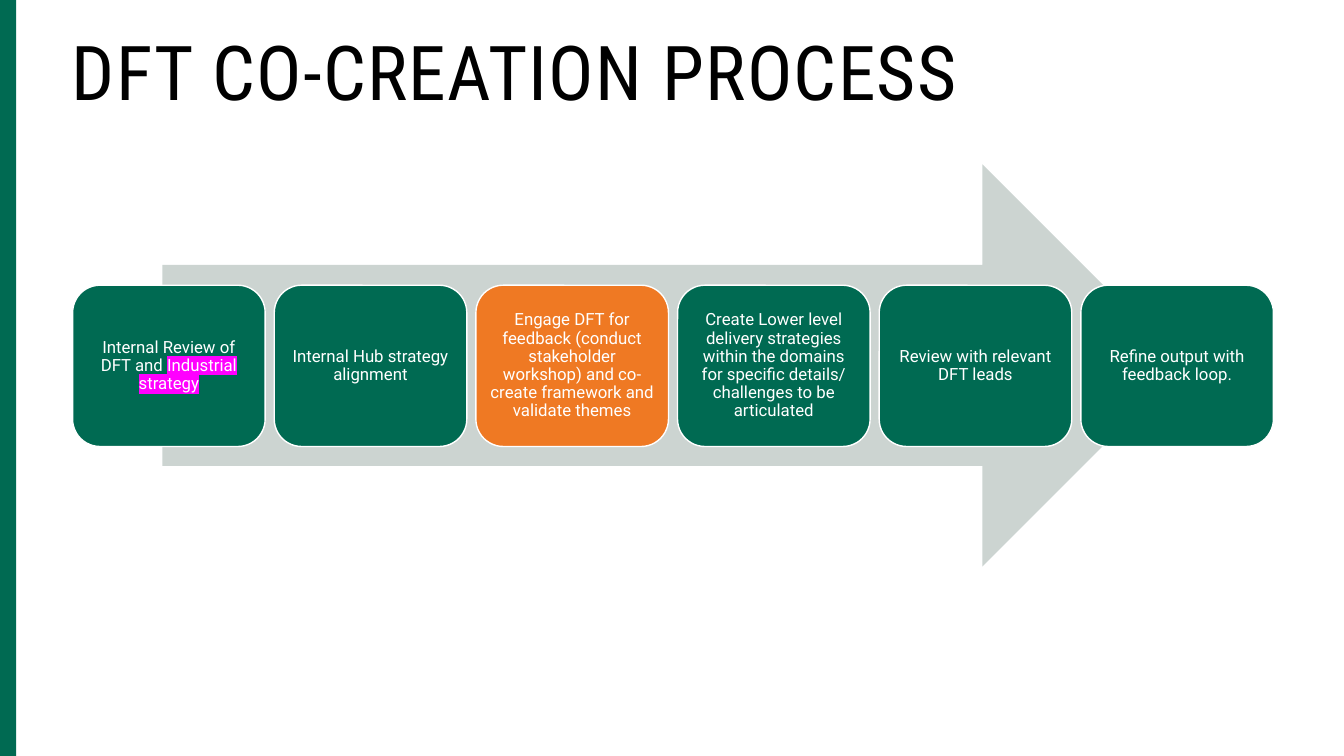
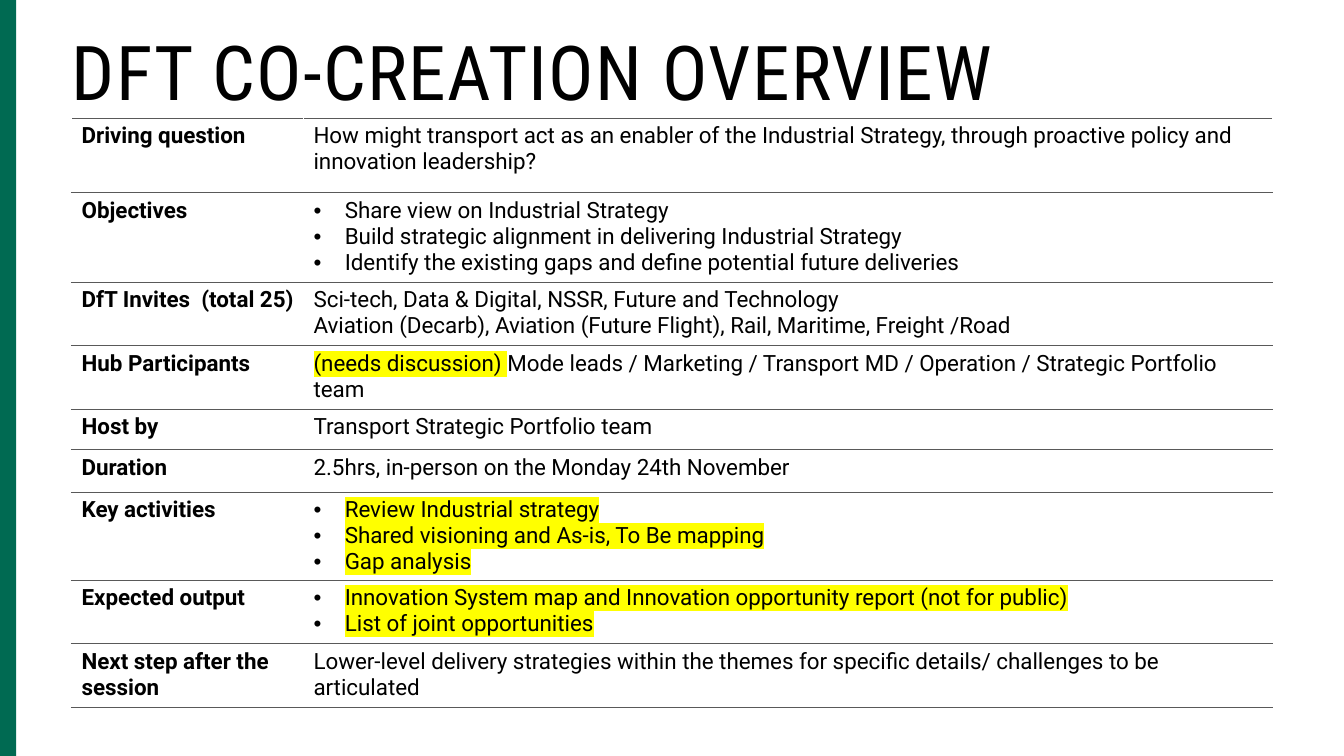
"""Build two slides on the DFT co-creation process and workshop."""
import pptx
import pptx.dml.color
import pptx.enum.shapes
import pptx.enum.text
import pptx.oxml.ns
import pptx.util
from lxml import etree

Inches = pptx.util.Inches
Pt = pptx.util.Pt
qn = pptx.oxml.ns.qn
Shape = pptx.enum.shapes.MSO_SHAPE
Align = pptx.enum.text.PP_ALIGN
Anchor = pptx.enum.text.MSO_ANCHOR

COLORS = {
    "green": "006A52",
    "orange": "EF7923",
    "arrow": "CCD4D1",
    "rule": "595959",
    "black": "000000",
    "white": "FFFFFF",
    "yellow": "FFFF00",
    "magenta": "FF00FF",
}

STEPS = [
    ([("Internal Review of DFT and ", None), ("Industrial strategy", "magenta")], "green"),
    ([("Internal Hub strategy alignment", None)], "green"),
    ([("Engage DFT for feedback (conduct stakeholder workshop) and co-create "
       "framework and validate themes", None)], "orange"),
    ([("Create Lower level delivery strategies within the domains for specific "
       "details/ challenges to be articulated", None)], "green"),
    ([("Review with relevant DFT leads", None)], "green"),
    ([("Refine output with feedback loop.", None)], "green"),
]

OVERVIEW = [
    ("Driving question", 0.74, False, [
        [("How might transport act as an enabler of the Industrial Strategy, through "
          "proactive policy and innovation leadership?", None)]]),
    ("Objectives", 0.89, True, [
        [("Share view on Industrial Strategy", None)],
        [("Build strategic alignment in delivering Industrial Strategy", None)],
        [("Identify the existing gaps and define potential future deliveries", None)]]),
    ("DfT Invites  (total 25)", 0.63, False, [
        [("Sci-tech, Data & Digital, NSSR, Future and Technology", None)],
        [("Aviation (Decarb), Aviation (Future Flight), Rail, Maritime, Freight /Road", None)]]),
    ("Hub Participants", 0.63, False, [
        [("(needs discussion) ", "yellow"),
         ("Mode leads / Marketing / Transport MD / Operation / Strategic Portfolio team", None)]]),
    ("Host by", 0.4, False, [[("Transport Strategic Portfolio team", None)]]),
    ("Duration", 0.42, False, [[("2.5hrs, in-person on the Monday 24th November", None)]]),
    ("Key activities", 0.6, True, [
        [("Review Industrial strategy", "yellow")],
        [("Shared visioning and As-is, To Be mapping", "yellow")],
        [("Gap analysis", "yellow")]]),
    ("Expected output", 0.63, True, [
        [("Innovation System map and Innovation opportunity report (not for public)", "yellow")],
        [("List of joint opportunities", "yellow")]]),
    ("Next step after the session", 0.63, False, [
        [("Lower-level delivery strategies within the themes for specific details/ "
          "challenges to be articulated", None)]]),
]


class Slides:
    """Hold the shared style and the slide being drawn."""

    def __init__(self):
        """Start an empty widescreen deck."""
        self.deck = pptx.Presentation()
        self.deck.slide_width = Inches(13.33)
        self.deck.slide_height = Inches(7.5)
        self.slide = None

    def color(self, name):
        """Return a named colour."""
        return pptx.dml.color.RGBColor.from_string(COLORS[name])

    def add_slide(self, title):
        """Add a slide with the side band and its title."""
        self.slide = self.deck.slides.add_slide(self.deck.slide_layouts[5])
        self.add_box(Shape.RECTANGLE, 0, 0, 0.16, 7.5, "green")
        box = self.slide.shapes.title
        box.left, box.top = Inches(0.71), Inches(0.39)
        box.width, box.height = Inches(9.96), Inches(0.77)
        frame = box.text_frame
        self.set_margins(frame, 0)
        frame.vertical_anchor = Anchor.TOP
        frame.auto_size = pptx.enum.text.MSO_AUTO_SIZE.NONE
        self.add_text(frame, [[(title, None)]], 54, "black", font="Roboto Condensed",
                      line_spacing=0.85)
        for span in frame.paragraphs[0].runs:
            span.font._element.set("spc", "100")

    def set_margins(self, frame, margin):
        """Give a text frame equal margins."""
        frame.margin_left = frame.margin_right = Inches(margin)
        frame.margin_top = frame.margin_bottom = Inches(margin)

    def add_text(self, frame, paragraphs, size, color, font="Roboto", bold=False,
                 align=Align.LEFT, line_spacing=1.0, bullets=False):
        """Fill a text frame with paragraphs of plain or highlighted spans."""
        for index, spans in enumerate(paragraphs):
            para = frame.paragraphs[0] if index == 0 else frame.add_paragraph()
            para.alignment = align
            para.line_spacing = line_spacing
            if bullets:
                self.add_bullet(para)
            for text, highlight in spans:
                span = para.add_run()
                span.text = text
                span.font.size = Pt(size)
                span.font.name = font
                span.font.bold = bold
                span.font.color.rgb = self.color(color)
                if highlight:
                    self.highlight(span, highlight)

    def add_bullet(self, para):
        """Give a paragraph a hanging bullet."""
        properties = para._p.get_or_add_pPr()
        properties.set("marL", str(Inches(0.31)))
        properties.set("indent", str(-Inches(0.31)))
        etree.SubElement(properties, qn("a:buFont"), typeface="Arial")
        etree.SubElement(properties, qn("a:buChar"), char="•")

    def highlight(self, span, color):
        """Mark a span with a background colour."""
        marker = etree.Element(qn("a:highlight"))
        etree.SubElement(marker, qn("a:srgbClr"), val=COLORS[color])
        span.font._element.find(qn("a:solidFill")).addnext(marker)

    def add_box(self, kind, left, top, width, height, fill, line=None):
        """Add a filled preset shape."""
        box = self.slide.shapes.add_shape(
            kind, Inches(left), Inches(top), Inches(width), Inches(height))
        box.shadow.inherit = False
        box.fill.solid()
        box.fill.fore_color.rgb = self.color(fill)
        if line:
            box.line.color.rgb = self.color(line)
            box.line.width = Pt(1)
        else:
            box.line.fill.background()
        return box

    def add_step(self, left, spans, fill):
        """Add one rounded step of the process."""
        box = self.add_box(Shape.ROUNDED_RECTANGLE, left, 2.83, 1.91, 1.6, fill, "white")
        box.adjustments[0] = 0.17
        frame = box.text_frame
        frame.word_wrap = True
        frame.vertical_anchor = Anchor.MIDDLE
        self.set_margins(frame, 0.05)
        self.add_text(frame, [spans], 12, "white", align=Align.CENTER, line_spacing=0.9)

    def add_table(self, left, top, widths, rows):
        """Add a ruled table of labels and details."""
        height = sum(row[1] for row in rows)
        table = self.slide.shapes.add_table(
            len(rows), len(widths), Inches(left), Inches(top),
            Inches(sum(widths)), Inches(height)).table
        table.first_row = table.horz_banding = False
        for column, width in zip(table.columns, widths):
            column.width = Inches(width)
        for row, (label, row_height, bullets, details) in zip(table.rows, rows):
            row.height = Inches(row_height)
            label_cell, detail_cell = row.cells
            label_cell.margin_right = Inches(0.05)
            self.add_text(label_cell.text_frame, [[(label, None)]], 16, "black", bold=True)
            self.add_text(detail_cell.text_frame, details, 16, "black", bullets=bullets)
            for cell in row.cells:
                self.add_borders(cell)
                cell.fill.background()

    def add_borders(self, cell):
        """Draw grey rules above and below a cell and white ones beside it."""
        properties = cell._tc.get_or_add_tcPr()
        for side, color, width in (("L", "white", 1), ("R", "white", 1),
                                   ("T", "rule", 0.5), ("B", "rule", 0.5)):
            line = etree.SubElement(properties, qn("a:ln" + side), w=str(Pt(width)))
            fill = etree.SubElement(line, qn("a:solidFill"))
            etree.SubElement(fill, qn("a:srgbClr"), val=COLORS[color])


def main():
    """Draw both slides and save the deck."""
    slides = Slides()

    slides.add_slide("DFT CO-CREATION PROCESS")
    slides.add_box(Shape.RIGHT_ARROW, 1.61, 1.63, 10.13, 3.99, "arrow")
    for index, (spans, fill) in enumerate(STEPS):
        slides.add_step(0.72 + 2 * index, spans, fill)

    slides.add_slide("DFT CO-CREATION OVERVIEW")
    slides.add_table(0.71, 1.17, (2.3, 9.61), OVERVIEW)

    slides.deck.save("out.pptx")


if __name__ == "__main__":
    main()
